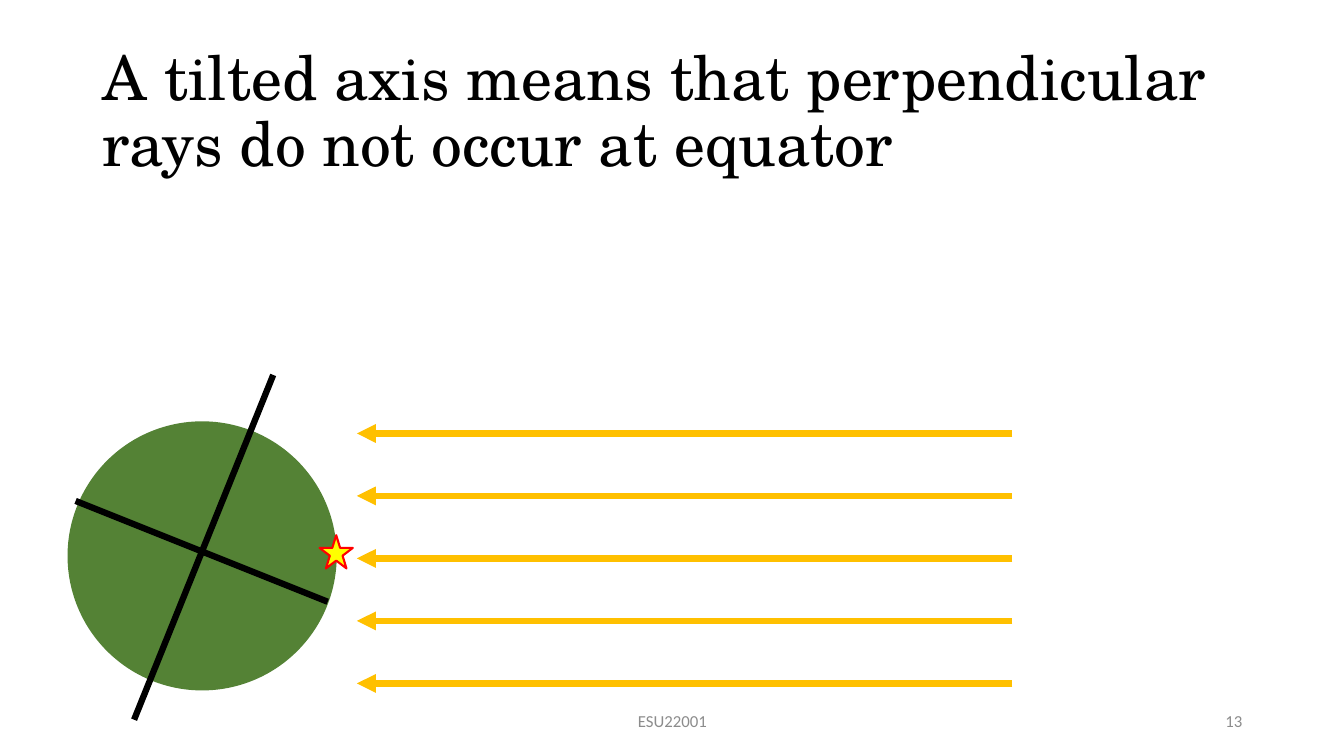
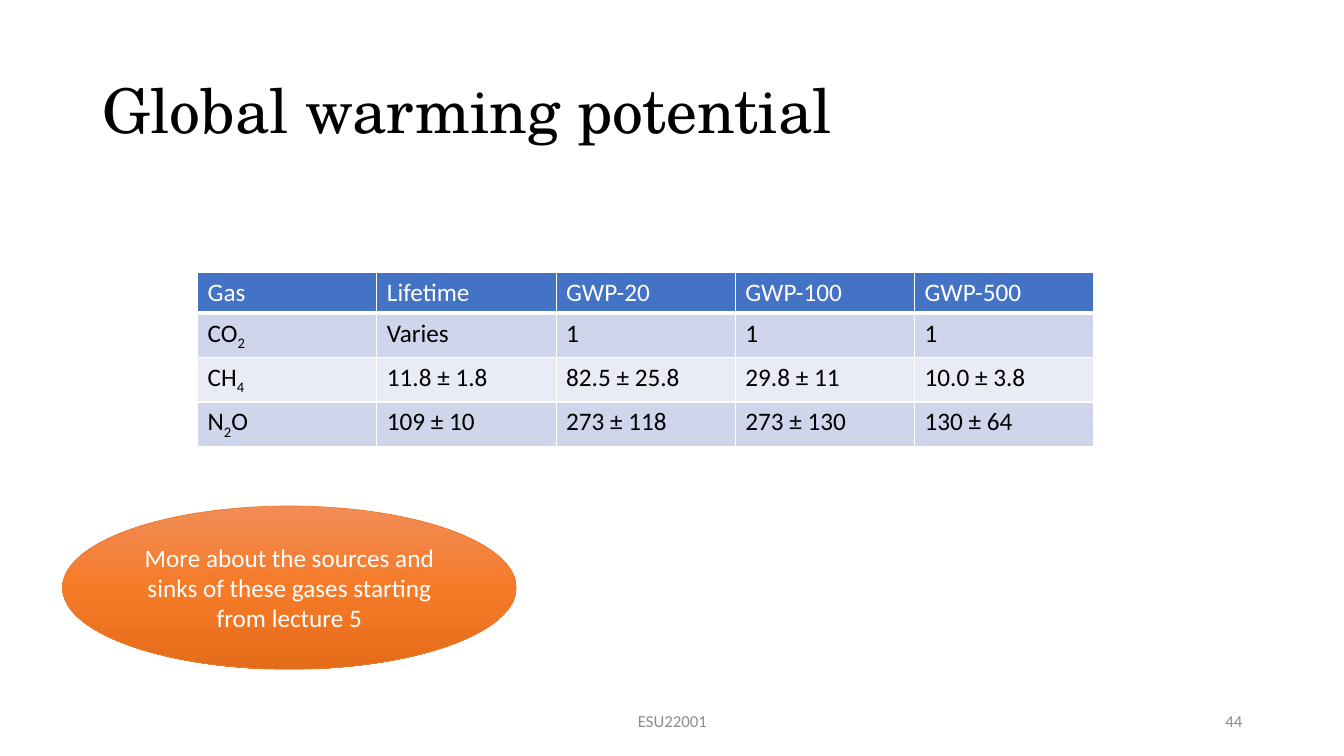
import copy
from dataclasses import dataclass
from typing import Optional

import lxml.etree
import pptx
import pptx.dml.color
import pptx.enum.shapes
import pptx.enum.text
import pptx.oxml.ns
import pptx.util

Inches = pptx.util.Inches
Pt = pptx.util.Pt
RGB = pptx.dml.color.RGBColor.from_string
qn = pptx.oxml.ns.qn
SHAPE = pptx.enum.shapes.MSO_SHAPE
ALIGN = pptx.enum.text.PP_ALIGN
MIDDLE = pptx.enum.text.MSO_ANCHOR.MIDDLE


@dataclass(frozen=True)
class Theme:
    title_font: str = "TeX Gyre Schola"
    body_font: str = "Calibri"
    title_size: float = 44
    body_size: float = 18
    footer_size: float = 12
    black: str = "000000"
    white: str = "FFFFFF"
    grey: str = "8C8C8C"
    earth: str = "548235"
    ray: str = "FFC000"
    star: str = "FFFF00"
    star_line: str = "FF0000"
    header: str = "4472C4"
    bands: tuple = ("CFD5EA", "E9EBF5")
    callout_stops: tuple = ((0, "F18C57"), (0.5, "F67B28"), (1, "E56C19"))
    callout_line: str = "ED7D31"
    diagram_line: float = 4.5


THEME = Theme()


@dataclass(frozen=True)
class Box:
    left: float
    top: float
    width: float
    height: float

    def emu(self) -> tuple:
        return tuple(Inches(v) for v in (self.left, self.top, self.width, self.height))


@dataclass(frozen=True)
class TextStyle:
    font: str
    size: float
    color: str
    align: Optional[ALIGN] = None
    spacing: Optional[float] = None


@dataclass(frozen=True)
class Segment:
    x1: float
    y1: float
    x2: float
    y2: float
    color: str = THEME.black
    arrow: bool = False


TITLE = TextStyle(THEME.title_font, THEME.title_size, THEME.black, spacing=0.9)
FOOTER = TextStyle(THEME.body_font, THEME.footer_size, THEME.grey, ALIGN.CENTER)
NUMBER = TextStyle(THEME.body_font, THEME.footer_size, THEME.grey, ALIGN.RIGHT)
HEADER = TextStyle(THEME.body_font, THEME.body_size, THEME.white)
CELL = TextStyle(THEME.body_font, THEME.body_size, THEME.black)
CALLOUT = TextStyle(THEME.body_font, THEME.body_size, THEME.white, ALIGN.CENTER)

GASES = (
    ("Gas", "Lifetime", "GWP-20", "GWP-100", "GWP-500"),
    ("CO_2", "Varies", "1", "1", "1"),
    ("CH_4", "11.8 ± 1.8", "82.5 ± 25.8", "29.8 ± 11", "10.0 ± 3.8"),
    ("N_2_O", "109 ± 10", "273 ± 118", "273 ± 130", "130 ± 64"),
)


def write(tf, text: str, style: TextStyle) -> None:
    p = tf.paragraphs[0]
    p.alignment = style.align
    p.line_spacing = style.spacing
    for i, part in enumerate(text.split("_")):
        if not part:
            continue
        r = p.add_run()
        r.text = part
        r.font.name = style.font
        r.font.size = Pt(style.size)
        r.font.color.rgb = RGB(style.color)
        if i % 2:
            r.font._element.set("baseline", "-25000")


def add_text(s, box: Box, text: str, style: TextStyle) -> None:
    tf = s.shapes.add_textbox(*box.emu()).text_frame
    tf.word_wrap = True
    tf.vertical_anchor = MIDDLE
    write(tf, text, style)


def add_shape(s, kind: SHAPE, box: Box, fill: Optional[str] = None,
              line: Optional[str] = None, width: float = 1):
    sp = s.shapes.add_shape(kind, *box.emu())
    sp.shadow.inherit = False
    if fill:
        sp.fill.solid()
        sp.fill.fore_color.rgb = RGB(fill)
    if line:
        sp.line.color.rgb = RGB(line)
        sp.line.width = Pt(width)
    else:
        sp.line.fill.background()
    return sp


def add_segment(s, seg: Segment) -> None:
    ends = (Inches(v) for v in (seg.x1, seg.y1, seg.x2, seg.y2))
    line = s.shapes.add_connector(pptx.enum.shapes.MSO_CONNECTOR.STRAIGHT, *ends)
    line.line.color.rgb = RGB(seg.color)
    line.line.width = Pt(THEME.diagram_line)
    if seg.arrow:
        lxml.etree.SubElement(line.line._get_or_add_ln(), qn("a:tailEnd"), type="triangle")
    lxml.etree.SubElement(line._element.spPr, qn("a:effectLst"))


def fill_gradient(sp, stops: tuple) -> None:
    sp.fill.gradient()
    sp.fill.gradient_angle = 270
    gs_list = sp._element.spPr.find(qn("a:gradFill")).find(qn("a:gsLst"))
    while len(gs_list) < len(stops):
        gs_list.append(copy.deepcopy(gs_list[0]))
    for stop, (position, color) in zip(sp.fill.gradient_stops, stops):
        stop.position = position
        stop.color.rgb = RGB(color)


def set_borders(cell, bottom: float) -> None:
    tc_pr = cell._tc.get_or_add_tcPr()
    for side, width in (("L", 1), ("R", 1), ("T", 1), ("B", bottom)):
        ln = lxml.etree.SubElement(tc_pr, qn(f"a:ln{side}"), w=str(Pt(width)))
        fill = lxml.etree.SubElement(ln, qn("a:solidFill"))
        lxml.etree.SubElement(fill, qn("a:srgbClr"), val=THEME.white)


def add_table(s, box: Box, rows: tuple) -> None:
    table = s.shapes.add_table(len(rows), len(rows[0]), *box.emu()).table
    for i, values in enumerate(rows):
        for j, value in enumerate(values):
            cell = table.cell(i, j)
            set_borders(cell, 1 if i else 3)
            cell.fill.solid()
            cell.fill.fore_color.rgb = RGB(THEME.bands[(i - 1) % 2] if i else THEME.header)
            write(cell.text_frame, value, CELL if i else HEADER)


def add_slide(prs, title: str, number: int):
    s = prs.slides.add_slide(prs.slide_layouts[6])
    add_text(s, Box(0.92, 0.4, 11.5, 1.45), title, TITLE)
    add_text(s, Box(4.42, 6.95, 4.5, 0.4), "ESU22001", FOOTER)
    add_text(s, Box(9.42, 6.95, 3, 0.4), str(number), NUMBER)
    return s


def build_axis_slide(prs) -> None:
    s = add_slide(prs, "A tilted axis means that perpendicular rays do not occur at equator", 13)
    add_shape(s, SHAPE.OVAL, Box(0.67, 4.18, 2.67, 2.67), THEME.earth)
    equator = Segment(0.75, 4.97, 3.25, 5.97)
    axis = Segment(2.71, 3.72, 1.33, 7.14)
    ray_heights = [4.3 + 0.62 * i for i in range(5)]
    rays = [Segment(10.04, y, 3.54, y, THEME.ray, True) for y in ray_heights]
    for seg in (equator, *rays, axis):
        add_segment(s, seg)
    add_shape(s, SHAPE.STAR_5_POINT, Box(3.17, 5.31, 0.33, 0.33),
              THEME.star, THEME.star_line, 1.5)


def build_warming_slide(prs) -> None:
    s = add_slide(prs, "Global warming potential", 44)
    add_table(s, Box(1.96, 2.7, 8.89, 1.62), GASES)
    callout = add_shape(s, SHAPE.OVAL, Box(0.62, 5.02, 4.5, 1.62),
                        line=THEME.callout_line, width=0.5)
    fill_gradient(callout, THEME.callout_stops)
    tf = callout.text_frame
    tf.word_wrap = True
    tf.vertical_anchor = MIDDLE
    write(tf, "More about the sources and sinks of these gases starting from lecture 5", CALLOUT)


def main() -> None:
    prs = pptx.Presentation()
    prs.slide_width = Inches(13.33)
    prs.slide_height = Inches(7.5)
    build_axis_slide(prs)
    build_warming_slide(prs)
    prs.save("out.pptx")


if __name__ == "__main__":
    main()
